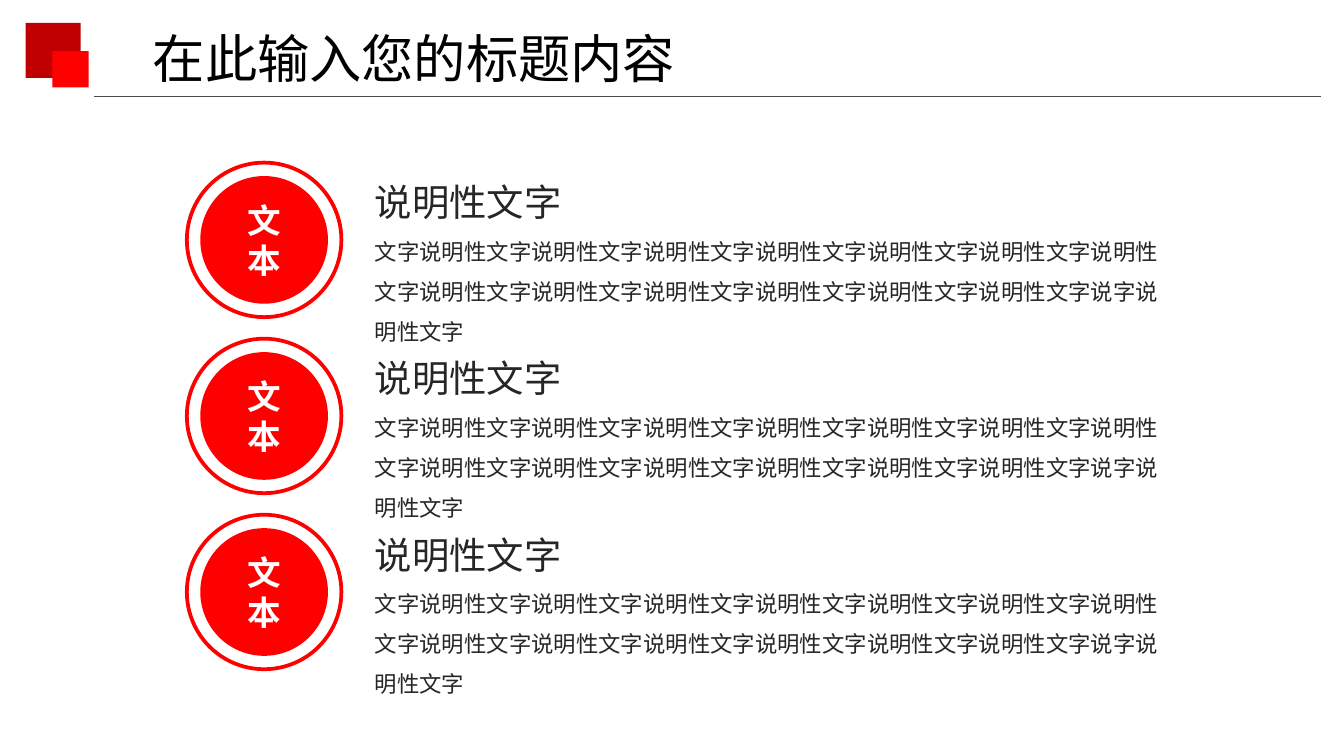
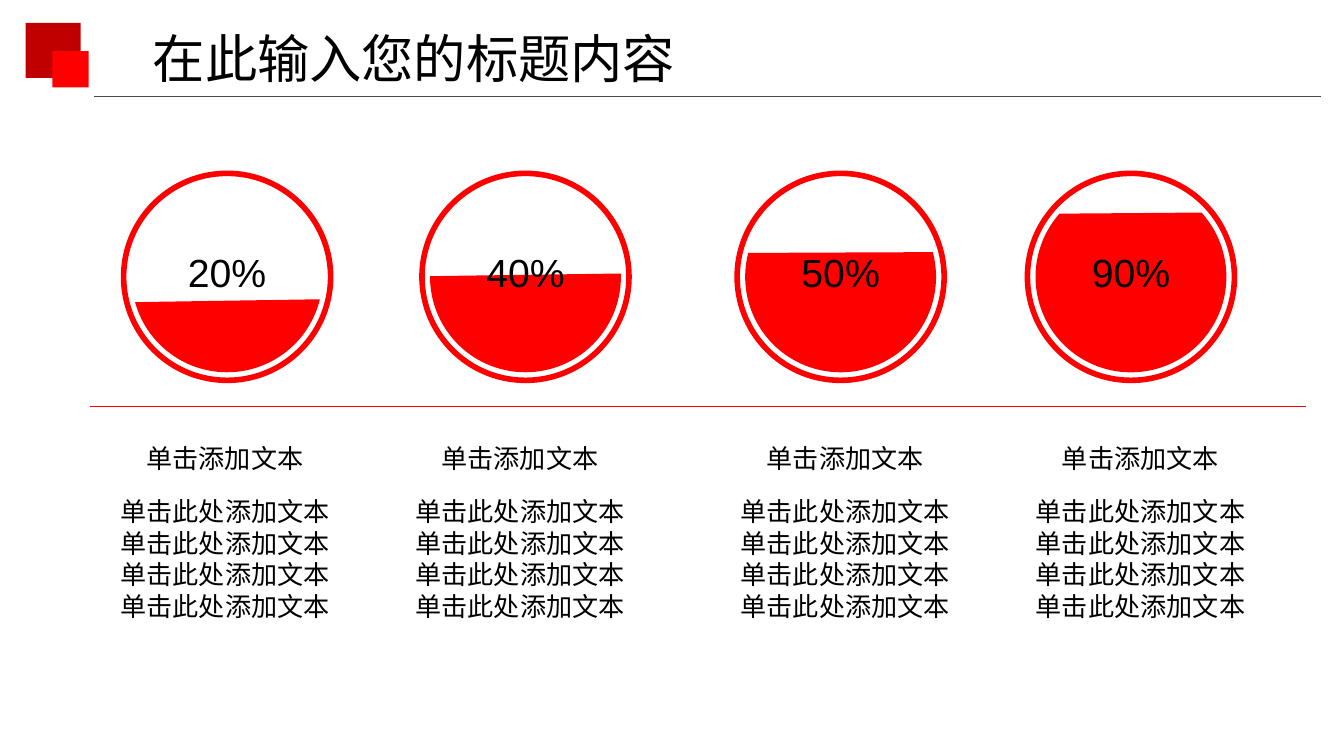
import lxml.etree
import pptx
import pptx.dml.color
import pptx.enum.shapes
import pptx.enum.text
import pptx.oxml.ns
import pptx.util

RED, DARK_RED, GRAY = "FF0000", "C00000", "4D4948"
BLACK, CHARCOAL, WHITE = "000000", "262626", "FFFFFF"
CHINESE, LATIN = "Noto Sans CJK SC", "Arial"
PRESET = pptx.enum.shapes.MSO_SHAPE
LEFT, CENTER = pptx.enum.text.PP_ALIGN.LEFT, pptx.enum.text.PP_ALIGN.CENTER

presentation = pptx.Presentation()
presentation.slide_width = pptx.util.Inches(10)
presentation.slide_height = pptx.util.Inches(5.625)
cell = presentation.slide_width / 100


def color(target, value):
    target.rgb = pptx.dml.color.RGBColor.from_string(value)


def draw(slide, box, preset=None, fill=None, line=None, weight=1, texts=(),
         size=14, font=CHINESE, ink=BLACK, align=LEFT, spacing=None, bold=False, wrap=True):
    place = [round(length * cell) for length in box]
    if preset is None:
        shape = slide.shapes.add_textbox(*place)
        shape.text_frame.auto_size = pptx.enum.text.MSO_AUTO_SIZE.SHAPE_TO_FIT_TEXT
    else:
        shape = slide.shapes.add_shape(preset, *place)
        shape.text_frame.vertical_anchor = pptx.enum.text.MSO_ANCHOR.MIDDLE
    shape.shadow.inherit = False
    if fill:
        shape.fill.solid()
        color(shape.fill.fore_color, fill)
    else:
        shape.fill.background()
    if line:
        color(shape.line.color, line)
        shape.line.width = pptx.util.Pt(weight)
    else:
        shape.line.fill.background()
    frame = shape.text_frame
    frame.word_wrap = wrap
    for index, text in enumerate(texts):
        paragraph = frame.add_paragraph() if index else frame.paragraphs[0]
        paragraph.text = text
        paragraph.alignment = align
        paragraph.line_spacing = spacing
        paragraph.font.size = pptx.util.Pt(size)
        paragraph.font.bold = bold
        paragraph.font.name = font
        color(paragraph.font.color, ink)
        properties = paragraph._p.pPr.find(pptx.oxml.ns.qn("a:defRPr"))
        east_asian = lxml.etree.SubElement(properties, pptx.oxml.ns.qn("a:ea"))
        east_asian.set("typeface", CHINESE)
    return shape


blank = presentation.slide_layouts[6]
list_slide = presentation.slides.add_slide(blank)
gauge_slide = presentation.slides.add_slide(blank)

for slide in (list_slide, gauge_slide):
    draw(slide, (1.9, 1.7, 4.1, 4.1), PRESET.RECTANGLE, fill=DARK_RED)
    draw(slide, (3.9, 3.8, 2.7, 2.7), PRESET.RECTANGLE, fill=RED)
    draw(slide, (10.4, 1.5, 42.4, 5.7), texts=["在此输入您的标题内容"], size=28)

rules = [
    (list_slide, 7, 98.3, 7.2, GRAY),
    (gauge_slide, 7, 98.3, 7.2, GRAY),
    (gauge_slide, 6.7, 97.2, 30.25, RED),
]
for slide, start, end, height, ink in rules:
    rule = slide.shapes.add_connector(
        pptx.enum.shapes.MSO_CONNECTOR.STRAIGHT,
        *[round(length * cell) for length in (start, height, end, height)])
    color(rule.line.color, ink)
    rule.line.width = pptx.util.Pt(0.75)
    lxml.etree.SubElement(rule._element.spPr, pptx.oxml.ns.qn("a:effectLst"))

description = "文字说明性" * 13 + "文字说字说明性文字"
for row in range(3):
    top = 11.2 + 13.1 * row
    item = draw(list_slide, (26.9, top, 60.9, 15.1),
                texts=["说明性文字", description], size=12, ink=CHARCOAL, spacing=1.5)
    item.text_frame.paragraphs[0].font.size = pptx.util.Pt(20)
    draw(list_slide, (14.9, top + 1.9, 9.5, 9.5), PRESET.OVAL, fill=RED,
         texts=["文本"], size=18, ink=WHITE, align=CENTER, bold=True)
    draw(list_slide, (13.9, top + 0.9, 11.5, 11.5), PRESET.OVAL, line=RED, weight=2)

gauges = [
    ("20%", 16.9, 16.75, 328.6, 117.61),
    ("40%", 39.1, 38.7, 313, 136.44),
    ("50%", 62.55, 62.9, 300, 152.72),
    ("90%", 84.15, 84.87, 272.6, 185.34),
]
for percent, center, caption_center, rotation, chord_end in gauges:
    level = draw(gauge_slide, (center - 7.1, 13.5, 14.2, 14.2), PRESET.CHORD, fill=RED)
    level.rotation = rotation
    level.adjustments[0] = 27
    level.adjustments[1] = chord_end
    draw(gauge_slide, (center - 7.7, 12.9, 15.4, 15.4), PRESET.OVAL, line=RED, weight=3)
    draw(gauge_slide, (center - 3.95, 18, 7.9, 4.5), texts=[percent],
         size=21, font=LATIN, align=CENTER, wrap=False)
    draw(gauge_slide, (caption_center - 8.65, 32.4, 17.3, 3.4),
         texts=["单击添加文本"], font=LATIN, align=CENTER)
    draw(gauge_slide, (caption_center - 9.25, 36.4, 18.5, 10.4),
         texts=["单击此处添加文本"] * 4, font=LATIN, align=CENTER)

presentation.save("out.pptx")
